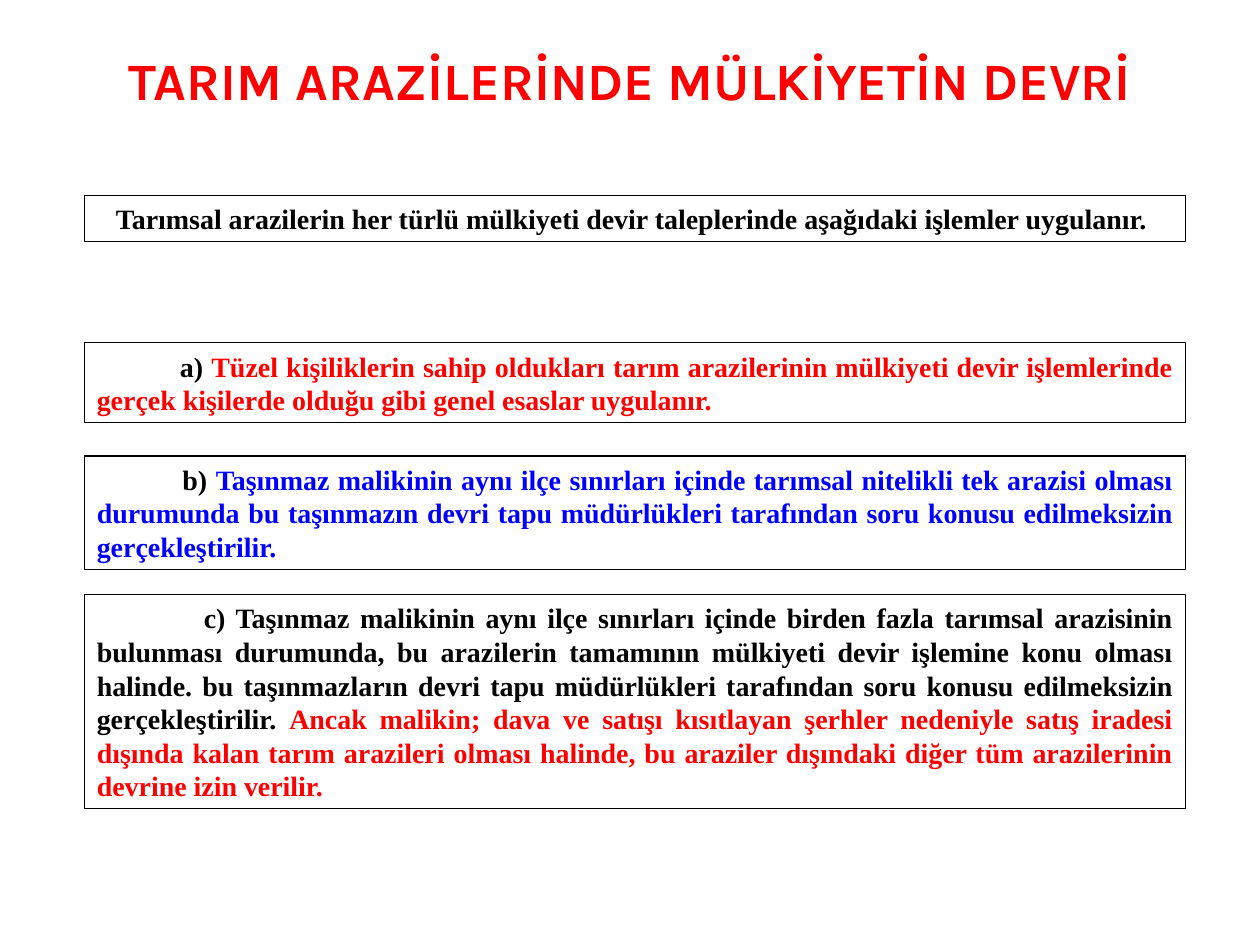
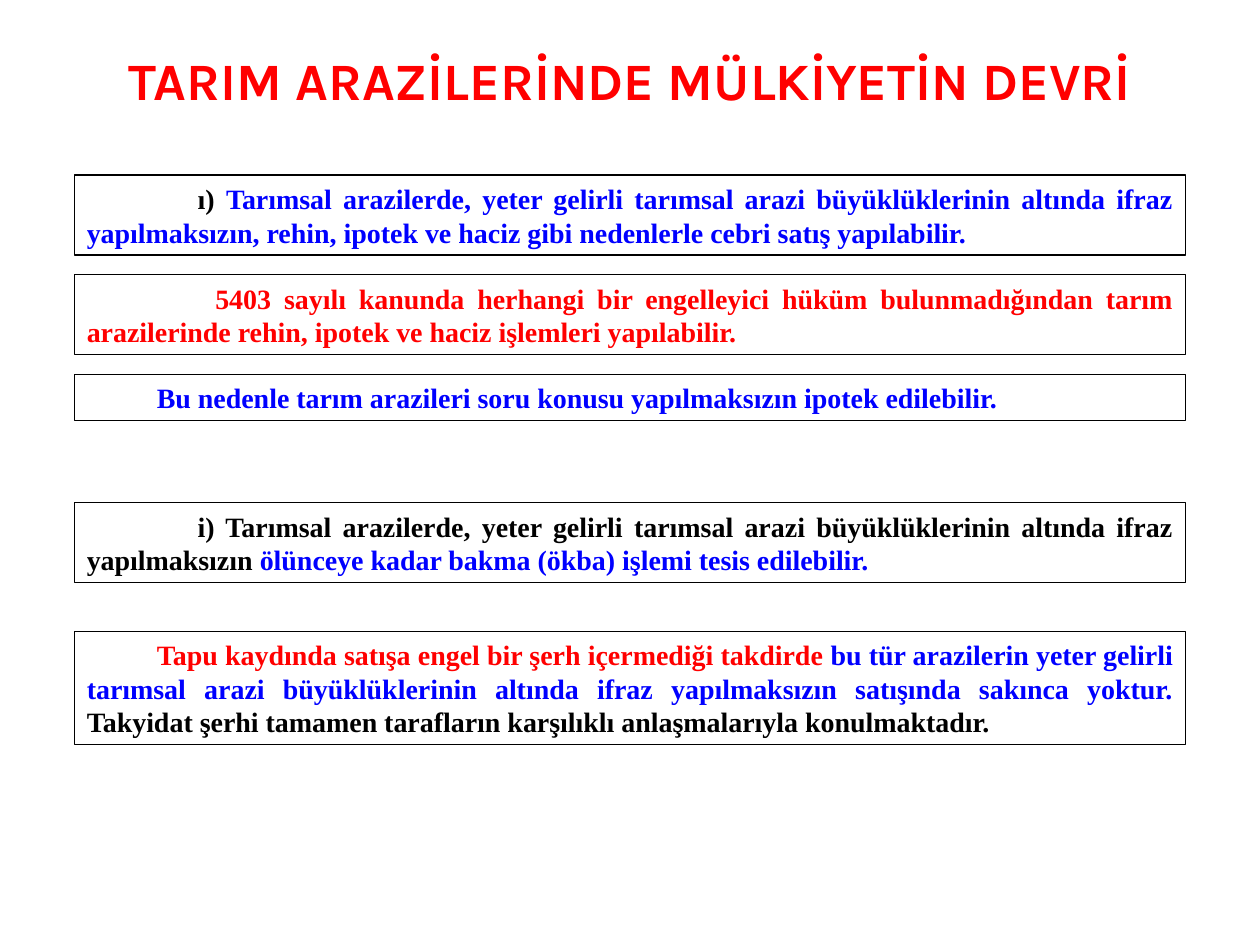
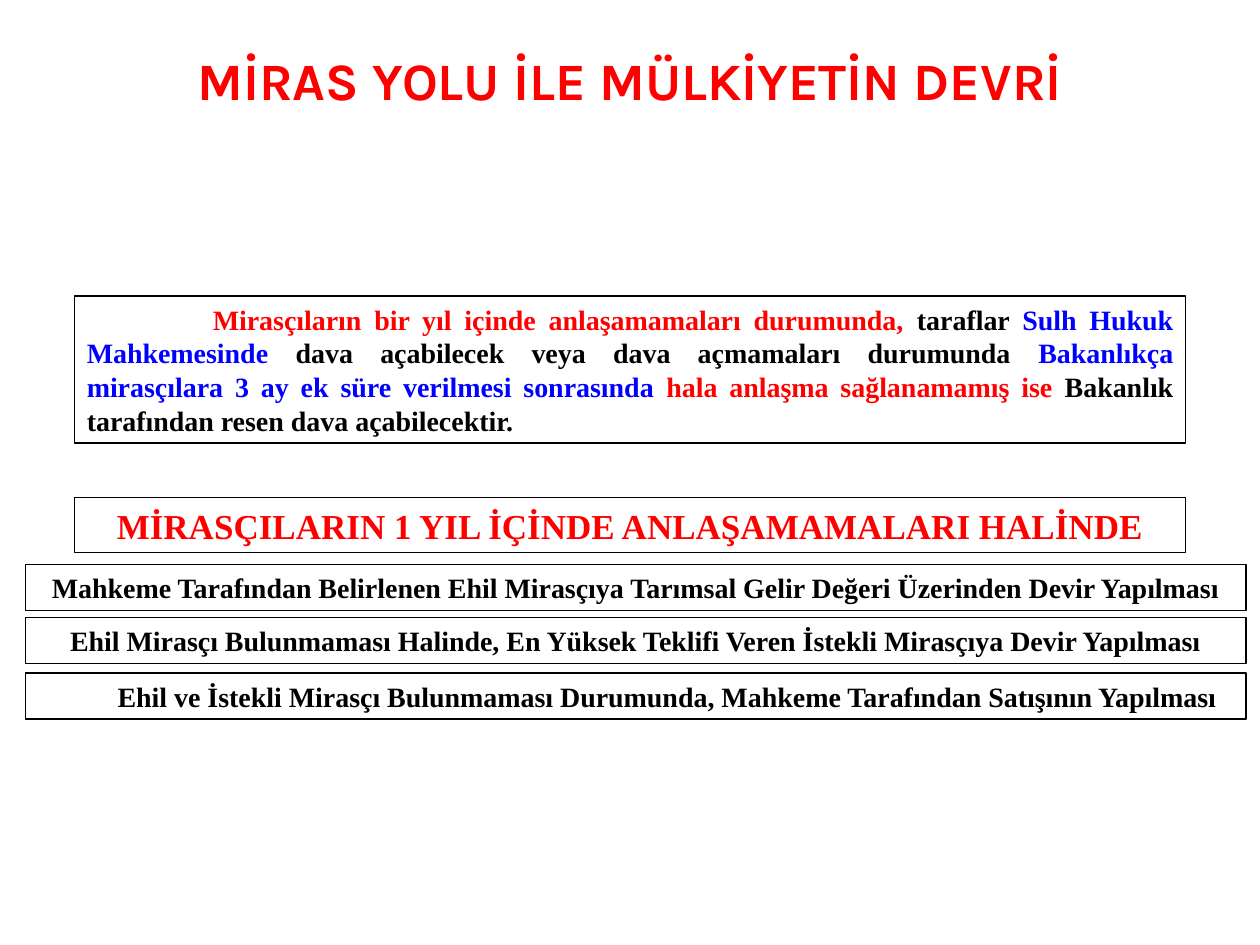
"""Build three slides of boxed notes on the transfer of agricultural land."""
from pptx import Presentation
from pptx.dml.color import RGBColor as RGB
from pptx.enum.shapes import MSO_SHAPE as SHAPE
from pptx.enum.text import MSO_ANCHOR as ANCHOR, MSO_AUTO_SIZE as FIT, PP_ALIGN as ALIGN
from pptx.util import Inches, Pt

THEME = {
    "red": RGB(255, 0, 0), "blue": RGB(0, 0, 255), "black": RGB(0, 0, 0),
    "title": {"name": "Karla", "size": Pt(30), "bold": True},
    "body": {"name": "Times New Roman", "size": Pt(16), "bold": True},
    "banner": {"name": "Times New Roman", "size": Pt(20), "bold": True},
    "line": Pt(0.75),
}
W, H = Inches(10), Inches(7.5)
COL, ROW = W / 100, H / 100
PAD_X, PAD_Y = W // 100, H // 150
LINE_SHARE = 1.2
NARROW, MEDIUM, WIDE = (6.7, 87.4), (5.9, 88.2), (2, 96.9)


def write(shape, runs, style, align, first=0, margin=0):
    """Fill a shape with one paragraph of coloured runs."""
    tf = shape.text_frame
    frame = {"word_wrap": True, "vertical_anchor": ANCHOR.MIDDLE,
             "margin_left": PAD_X, "margin_right": PAD_X,
             "margin_top": PAD_Y, "margin_bottom": PAD_Y}
    for key, value in frame.items():
        setattr(tf, key, value)
    p = tf.paragraphs[0]
    p.alignment = align
    pPr = p._p.get_or_add_pPr()
    pPr.set("marL", str(int(margin * COL)))
    pPr.set("indent", str(int(first * COL)))
    for colour, text in runs:
        r = p.add_run()
        r.text = text
        for key, value in THEME[style].items():
            setattr(r.font, key, value)
        r.font.color.rgb = THEME[colour]


def add_box(s, span, top, lines, runs, first=None, style="body", margin=0):
    """Add an outlined box as tall as its lines; a first indent means justified text."""
    left, width = span
    height = 2 * PAD_Y + lines * THEME[style]["size"] * LINE_SHARE
    sp = s.shapes.add_shape(SHAPE.RECTANGLE, int(left * COL), int(top * ROW),
                            int(width * COL), int(height))
    sp.shadow.inherit = False
    sp.fill.background()
    sp.line.color.rgb = THEME["black"]
    sp.line.width = THEME["line"]
    align = ALIGN.CENTER if first is None else ALIGN.JUSTIFY
    write(sp, runs, style, align, first or 0, margin)
    sp.text_frame.auto_size = FIT.SHAPE_TO_FIT_TEXT


TRANSFER = "TARIM ARAZİLERİNDE MÜLKİYETİN DEVRİ"
SLIDES = [
    (TRANSFER, [
        dict(span=NARROW, top=20.67, lines=1, runs=[
            ("black", "Tarımsal arazilerin her türlü mülkiyeti devir taleplerinde aşağıdaki "
                      "işlemler uygulanır. ")]),
        dict(span=NARROW, top=36.27, lines=2, first=6.6, runs=[
            ("black", "a) "),
            ("red", "Tüzel kişiliklerin sahip oldukları tarım arazilerinin mülkiyeti devir "
                    "işlemlerinde gerçek kişilerde olduğu gibi genel esaslar uygulanır. ")]),
        dict(span=NARROW, top=48.27, lines=3, first=6.8, runs=[
            ("black", "b) "),
            ("blue", "Taşınmaz malikinin aynı ilçe sınırları içinde tarımsal nitelikli tek "
                     "arazisi olması durumunda bu taşınmazın devri tapu müdürlükleri tarafından "
                     "soru konusu edilmeksizin gerçekleştirilir.")]),
        dict(span=NARROW, top=62.93, lines=6, first=8.5, runs=[
            ("black", "c) Taşınmaz malikinin aynı ilçe sınırları içinde birden fazla tarımsal "
                      "arazisinin bulunması durumunda, bu arazilerin tamamının mülkiyeti devir "
                      "işlemine konu olması halinde. bu taşınmazların devri tapu müdürlükleri "
                      "tarafından soru konusu edilmeksizin gerçekleştirilir. "),
            ("red", "Ancak malikin; dava ve satışı kısıtlayan şerhler nedeniyle satış iradesi "
                    "dışında kalan tarım arazileri olması halinde, bu araziler dışındaki diğer "
                    "tüm arazilerinin devrine izin verilir.")]),
    ]),
    (TRANSFER, [
        dict(span=MEDIUM, top=18.53, lines=2, first=8.8, runs=[
            ("black", "ı) "),
            ("blue", "Tarımsal arazilerde, yeter gelirli tarımsal arazi büyüklüklerinin altında "
                     "ifraz yapılmaksızın, rehin, ipotek ve haciz gibi nedenlerle cebri satış "
                     "yapılabilir.")]),
        dict(span=MEDIUM, top=29.07, lines=2, first=10.2, runs=[
            ("red", "5403 sayılı kanunda herhangi bir engelleyici hüküm bulunmadığından tarım "
                    "arazilerinde rehin, ipotek ve haciz işlemleri yapılabilir.")]),
        dict(span=MEDIUM, top=39.6, lines=1, first=5.56, runs=[
            ("blue", "Bu nedenle tarım arazileri soru konusu yapılmaksızın ipotek edilebilir.")]),
        dict(span=MEDIUM, top=53.2, lines=2, first=8.8, runs=[
            ("black", "i) Tarımsal arazilerde, yeter gelirli tarımsal arazi büyüklüklerinin "
                      "altında ifraz yapılmaksızın "),
            ("blue", "ölünceye kadar bakma (ökba) işlemi tesis edilebilir.")]),
        dict(span=MEDIUM, top=66.8, lines=3, first=5.56, runs=[
            ("red", "Tapu kaydında satışa engel bir şerh içermediği takdirde"),
            ("blue", " bu tür arazilerin yeter gelirli tarımsal arazi büyüklüklerinin altında "
                     "ifraz yapılmaksızın satışında sakınca yoktur. "),
            ("black", "Takyidat şerhi tamamen tarafların karşılıklı anlaşmalarıyla "
                      "konulmaktadır.")]),
    ]),
    ("MİRAS YOLU İLE MÜLKİYETİN DEVRİ", [
        dict(span=MEDIUM, top=31.33, lines=4, first=10, runs=[
            ("red", "Mirasçıların bir yıl içinde anlaşamamaları durumunda, "),
            ("black", "taraflar "),
            ("blue", "Sulh Hukuk Mahkemesinde "),
            ("black", "dava açabilecek veya dava açmamaları durumunda "),
            ("blue", "Bakanlıkça mirasçılara 3 ay ek süre verilmesi sonrasında "),
            ("red", "hala anlaşma sağlanamamış ise "),
            ("black", "Bakanlık tarafından resen dava açabilecektir.")]),
        dict(span=MEDIUM, top=52.67, lines=1, style="banner", runs=[
            ("red", "MİRASÇILARIN 1 YIL İÇİNDE ANLAŞAMAMALARI HALİNDE")]),
        dict(span=WIDE, top=59.73, lines=1, runs=[
            ("black", "Mahkeme Tarafından Belirlenen Ehil Mirasçıya Tarımsal Gelir Değeri "
                      "Üzerinden Devir Yapılması")]),
        dict(span=WIDE, top=65.33, lines=1, runs=[
            ("black", "Ehil Mirasçı Bulunmaması Halinde, En Yüksek Teklifi Veren İstekli "
                      "Mirasçıya Devir Yapılması")]),
        dict(span=WIDE, top=71.2, lines=1, margin=5, runs=[
            ("black", "Ehil ve İstekli Mirasçı Bulunmaması Durumunda, Mahkeme Tarafından "
                      "Satışının Yapılması")]),
    ]),
]

prs = Presentation()
prs.slide_width, prs.slide_height = W, H
for title, boxes in SLIDES:
    s = prs.slides.add_slide(prs.slide_layouts[6])
    heading = s.shapes.add_textbox(0, int(4.8 * ROW), W, int(7.33 * ROW))
    write(heading, [("red", title)], "title", ALIGN.CENTER)
    for box in boxes:
        add_box(s, **box)
prs.save("out.pptx")
